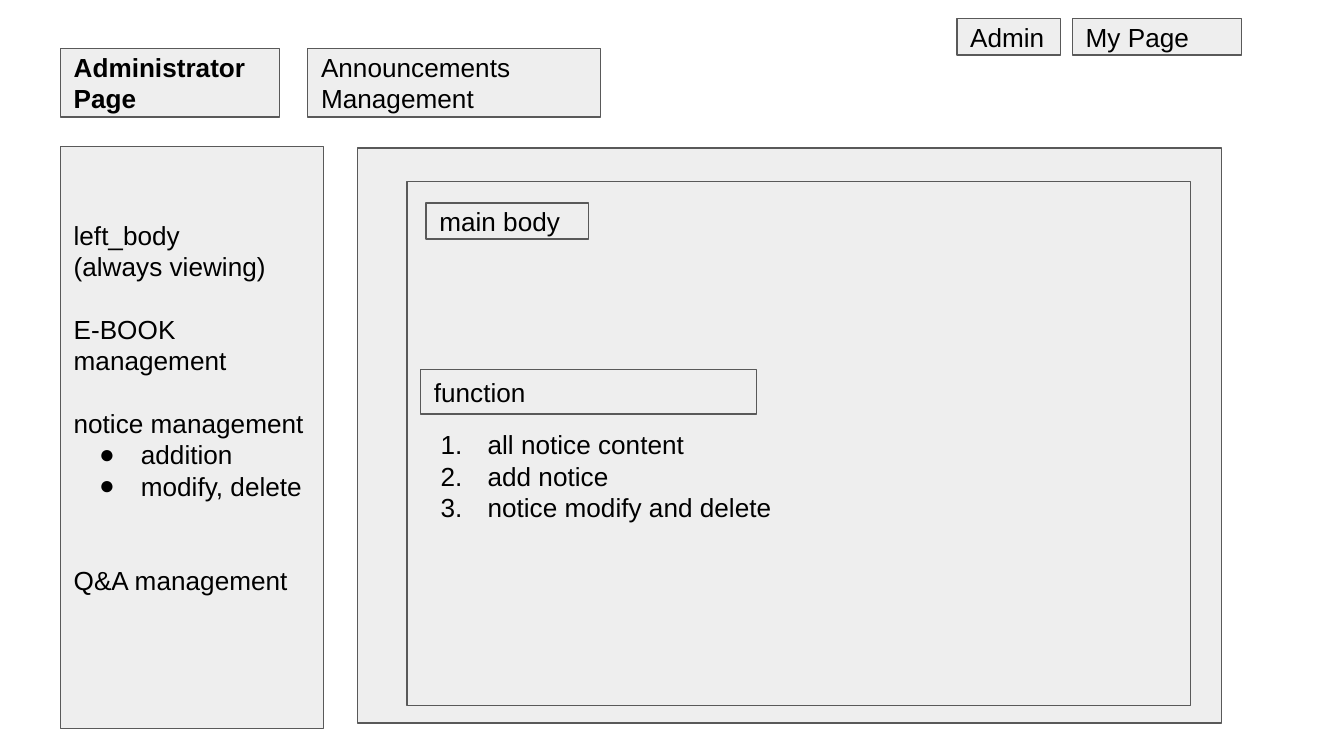
from lxml import etree
from pptx import Presentation
from pptx import util as u
from pptx.dml.color import RGBColor
from pptx.enum import shapes, text
from pptx.oxml.ns import qn

COLORS = {"panel": "EEEEEE", "border": "595959", "text": "000000"}
FONT, SIZE, LINE = "Arial", 14, 16.8
MARGIN = 0.1

# Paragraphs: (text, blank lines above, list style)
MENU = [
    ("left_body", 0, None),
    ("(always viewing)", 0, None),
    ("E-BOOK management", 1, None),
    ("notice management", 1, None),
    ("addition", 0, "bullet"),
    ("modify, delete", 0, "bullet"),
    ("Q&A management", 2, None),
]
FUNCTIONS = [
    ("all notice content", 0, "number"),
    ("add notice", 0, "number"),
    ("notice modify and delete", 0, "number"),
]

# Boxes from back to front: (left, top, width, height), paragraphs, format
BOXES = [
    ((7.12, 0.14, 0.77, 0.27), "Admin", {}),
    ((7.98, 0.14, 1.26, 0.27), "My Page", {}),
    ((0.45, 1.09, 1.96, 4.33), MENU, {"text_top": 0.54}),
    ((2.66, 1.1, 6.43, 4.28), [], {}),
    ((2.29, 0.36, 2.18, 0.51), "Announcements Management", {}),
    ((3.03, 1.35, 5.83, 3.9), FUNCTIONS, {"text_top": 1.84}),
    ((3.17, 1.51, 1.21, 0.27), "main body", {}),
    ((3.13, 2.75, 2.5, 0.33), "function", {}),
    ((0.45, 0.36, 1.63, 0.51), "Administrator Page", {"bold": True}),
]

# List style: (hanging indent, bullet tag, bullet attributes)
LISTS = {
    "bullet": (0.31, "a:buChar", {"char": "●"}),
    "number": (0.35, "a:buAutoNum", {"type": "arabicPeriod"}),
}


def rgb(name):
    return RGBColor.from_string(COLORS[name])


def set_list(para, style):
    hanging, tag, attributes = LISTS[style]
    props = para._p.get_or_add_pPr()
    props.set("marL", str(u.Inches(0.5)))
    props.set("indent", str(-u.Inches(hanging)))
    color = etree.SubElement(props, qn("a:buClr"))
    etree.SubElement(color, qn("a:srgbClr"), val=COLORS["text"])
    etree.SubElement(props, qn("a:buFont"), typeface=FONT)
    etree.SubElement(props, qn(tag), attributes)


def write(box, content, text_top=None, bold=False):
    """Fill a box with text, centred vertically unless text_top is given."""
    frame = box.text_frame
    frame.word_wrap = True
    frame.margin_left = frame.margin_right = u.Inches(MARGIN)
    frame.margin_top = u.Inches(MARGIN if text_top is None else text_top)
    frame.margin_bottom = u.Inches(MARGIN)
    anchors = text.MSO_ANCHOR
    frame.vertical_anchor = anchors.MIDDLE if text_top is None else anchors.TOP
    if isinstance(content, str):
        content = [(content, 0, None)]
    for index, (words, blank_lines, style) in enumerate(content):
        para = frame.add_paragraph() if index else frame.paragraphs[0]
        para.alignment = text.PP_ALIGN.LEFT
        para.line_spacing = u.Pt(LINE)
        para.space_before = u.Pt(blank_lines * LINE)
        if style:
            set_list(para, style)
        span = para.add_run()
        span.text = words
        span.font.name = FONT
        span.font.size = u.Pt(SIZE)
        span.font.bold = bold
        span.font.color.rgb = rgb("text")


# Widescreen page, 16:9
deck = Presentation()
deck.slide_width = u.Inches(10)
deck.slide_height = deck.slide_width * 9 // 16
page = deck.slides.add_slide(deck.slide_layouts[6])

for place, content, style in BOXES:
    box = page.shapes.add_shape(shapes.MSO_SHAPE.RECTANGLE, *map(u.Inches, place))
    box.shadow.inherit = False
    box.fill.solid()
    box.fill.fore_color.rgb = rgb("panel")
    box.line.color.rgb = rgb("border")
    box.line.width = u.Pt(0.75)
    write(box, content, **style)

deck.save("out.pptx")
